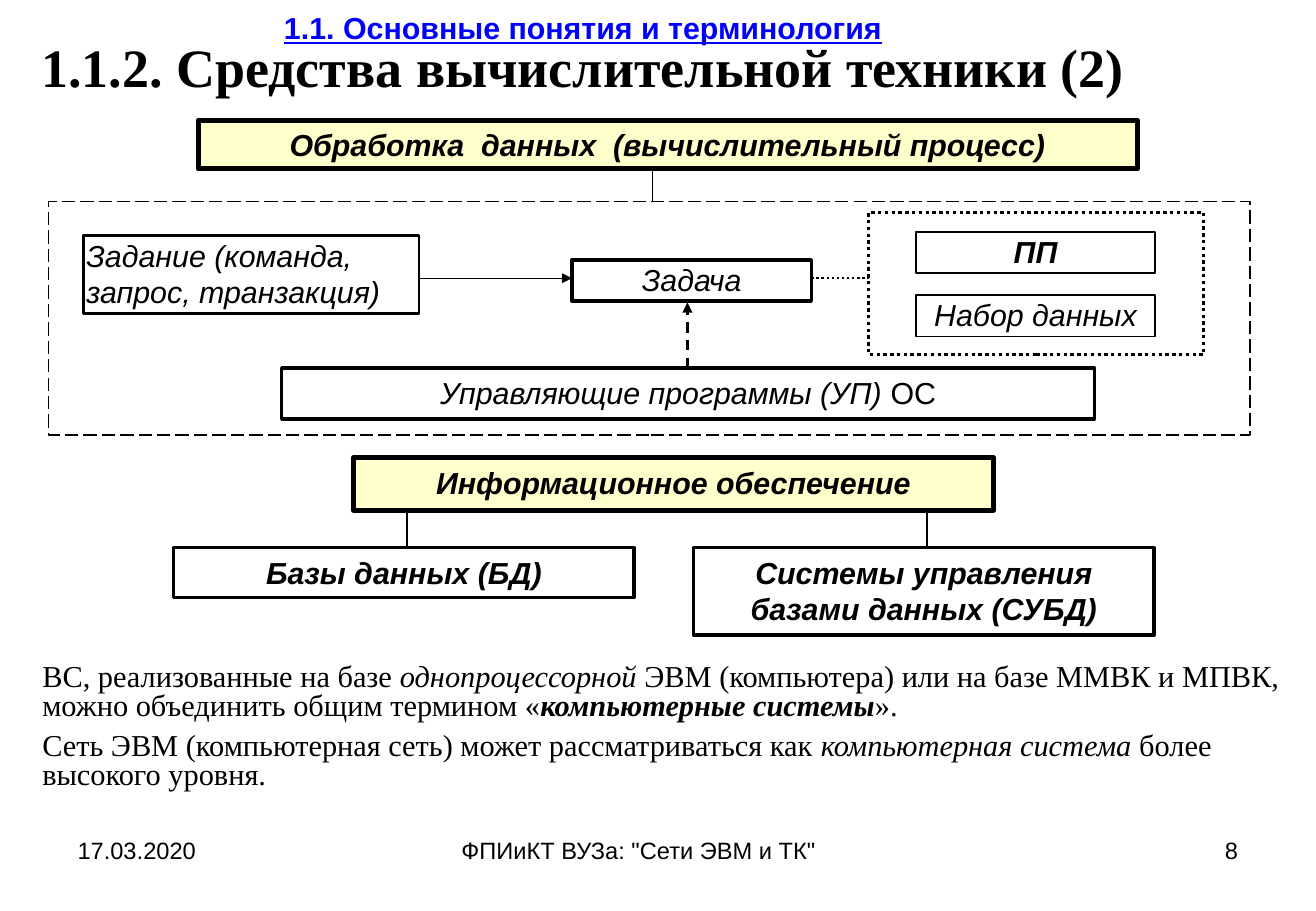
import pptx
import pptx.util
import pptx.dml.color
import pptx.enum.dml
import pptx.enum.shapes
import pptx.enum.text
import pptx.oxml.ns
from lxml import etree

Pt = pptx.util.Pt
ALIGN = pptx.enum.text.PP_ALIGN
ANCHOR = pptx.enum.text.MSO_ANCHOR
DASH = pptx.enum.dml.MSO_LINE
COLORS = {"ink": "000000", "link": "0000FF", "header": "FFFFCC"}
SANS, SERIF = "Arial", "Times New Roman"

# Content: each run is (text, style letters)
SECTION = "1.1. Основные понятия и терминология"
HEADING = "1.1.2. Средства вычислительной техники (2)"
BODY = [
    [("ВС, реализованные на базе ", ""), ("однопроцессорной", "i"),
     (" ЭВМ (компьютера) или на базе ММВК и МПВК, можно объединить общим термином «", ""),
     ("компьютерные системы", "bi"), ("».", "")],
    [("Сеть ЭВМ (компьютерная сеть) может рассматриваться как ", ""),
     ("компьютерная система ", "i"), ("более высокого уровня.", "")],
]
FOOTER = [  # text, left, width, alignment
    ("17.03.2020", 38.9, 182.2, ALIGN.LEFT),
    ('ФПИиКТ ВУЗа: "Сети ЭВМ и ТК"', 266.4, 247, ALIGN.LEFT),
    ("8", 558.7, 182.2, ALIGN.RIGHT),
]

# Diagram geometry
FLOW_Y = 164.9       # row of the job -> task -> data links
BRANCH_Y = 324.7     # top of the two information branches
BRANCH_W = 272.9
DATA_X, SMALL_W, SMALL_H = 542.9, 141.8, 24.5
TIGHT, WIDE = (1.5, 0.8), (7.2, 3.6)   # text insets: sides, top and bottom

FRAMES = [  # left, top, width, height, line width, dash
    (514.8, 126, 198.7, 84.2, 2, DASH.ROUND_DOT),
    (28.8, 119.5, 712, 138.2, 1, DASH.LONG_DASH),
]
BOXES = [  # runs, left, top, width, height, line width, insets, fill
    ([("Задание (команда, запрос, транзакция)", "i")],
     49.7, 139.7, 198.7, 46.1, 1.75, TIGHT, None),
    ([("Задача", "i")], 339.1, 154.1, SMALL_W, SMALL_H, 2, TIGHT, None),
    ([("ПП", "bi")], DATA_X, 137.5, SMALL_W, SMALL_H, 1, TIGHT, None),
    ([("Набор данных", "i")], DATA_X, 175, SMALL_W, SMALL_H, 1, TIGHT, None),
    ([("Обработка  данных  (вычислительный процесс)", "bi")],
     117.4, 71.3, 556.6, 28.8, 3, WIDE, "header"),
    ([("Управляющие программы (УП) ", "i"), ("ОС", "")],
     167, 218.2, 481.7, 30.2, 2, WIDE, None),
    ([("Информационное обеспечение", "bi")],
     209.5, 271.4, 379.4, 31, 3, WIDE, "header"),
    ([("Базы данных (БД)", "bi")],
     103, BRANCH_Y, BRANCH_W, 29.5, 2, WIDE, None),
    ([("Системы управления базами данных (СУБД)", "bi")],
     411.1, BRANCH_Y, BRANCH_W, 51.8, 2, WIDE, None),
]
LINKS = [  # x1, y1, x2, y2, line width, dash, arrow
    (248.4, FLOW_Y, 339.1, FLOW_Y, 0.75, None, True),
    (480.9, FLOW_Y, 514.8, FLOW_Y, 1.5, DASH.ROUND_DOT, False),
    (386.6, 101.5, 386.6, 119.5, 0.75, None, False),
    (407.5, 218.2, 407.5, 179.3, 1.5, DASH.DASH, True),
    (241.2, 303.8, 241.2, BRANCH_Y, 0.75, None, False),
    (549.4, 303.8, 549.4, BRANCH_Y, 0.75, None, False),
]


def rgb(name):
    return pptx.dml.color.RGBColor.from_string(COLORS[name])


def write(p, runs, font=SANS, size=18, color="ink", align=ALIGN.LEFT,
          spacing=None, before=0):
    p.alignment = align
    p.line_spacing = spacing
    p.space_before = Pt(before)
    for text, style in runs:
        r = p.add_run()
        r.text = text
        r.font.name, r.font.size = font, Pt(size)
        r.font.color.rgb = rgb(color)
        r.font.bold = "b" in style
        r.font.italic = "i" in style
        r.font.underline = "u" in style


def frame_text(sp, insets=WIDE, anchor=ANCHOR.TOP):
    tf = sp.text_frame
    tf.word_wrap = True
    tf.auto_size = pptx.enum.text.MSO_AUTO_SIZE.NONE
    tf.vertical_anchor = anchor
    tf.margin_left = tf.margin_right = Pt(insets[0])
    tf.margin_top = tf.margin_bottom = Pt(insets[1])
    return tf


def stroke(sp, width, dash=None):
    sp.line.color.rgb = rgb("ink")
    sp.line.width = Pt(width)
    if dash:
        sp.line.dash_style = dash


def add_rect(left, top, width, height, weight, dash=None, fill=None):
    sp = s.shapes.add_shape(pptx.enum.shapes.MSO_SHAPE.RECTANGLE,
                            Pt(left), Pt(top), Pt(width), Pt(height))
    sp.shadow.inherit = False
    if fill:
        sp.fill.solid()
        sp.fill.fore_color.rgb = rgb(fill)
    else:
        sp.fill.background()
    stroke(sp, weight, dash)
    return sp


def add_link(x1, y1, x2, y2, weight, dash, arrow):
    sp = s.shapes.add_connector(pptx.enum.shapes.MSO_CONNECTOR.STRAIGHT,
                                Pt(x1), Pt(y1), Pt(x2), Pt(y2))
    stroke(sp, weight, dash)
    if arrow:
        etree.SubElement(sp.line._get_or_add_ln(), pptx.oxml.ns.qn("a:tailEnd"),
                         type="triangle")
    etree.SubElement(sp._element.spPr, pptx.oxml.ns.qn("a:effectLst"))


prs = pptx.Presentation()
prs.slide_width, prs.slide_height = Pt(780), Pt(540)
s = prs.slides.add_slide(prs.slide_layouts[5])

# Title: section link above the heading
sp = s.shapes.title
sp.left, sp.top, sp.width, sp.height = Pt(0), Pt(0), Pt(691.2), Pt(67.7)
p = frame_text(sp, anchor=ANCHOR.MIDDLE).paragraphs[0]
title = dict(align=ALIGN.CENTER, spacing=0.8)
write(p, [(SECTION, "bu")], color="link", **title)
p.add_line_break()
write(p, [(HEADING, "b")], font=SERIF, size=32, **title)

# Diagram
for frame in FRAMES:
    add_rect(*frame)
for i, (runs, left, top, width, height, weight, insets, fill) in enumerate(BOXES):
    sp = add_rect(left, top, width, height, weight, fill=fill)
    write(frame_text(sp, insets).paragraphs[0], runs,
          align=ALIGN.CENTER if i else ALIGN.LEFT)
for link in LINKS:
    add_link(*link)

# Body text
tf = frame_text(s.shapes.add_textbox(Pt(18), Pt(390.2), Pt(748), Pt(88.6)))
for i, runs in enumerate(BODY):
    p = tf.add_paragraph() if i else tf.paragraphs[0]
    write(p, runs, font=SERIF, spacing=0.8, before=6 if i else 0)

# Footer
for text, left, width, align in FOOTER:
    sp = s.shapes.add_textbox(Pt(left), Pt(491.8), Pt(width), Pt(37.4))
    write(frame_text(sp).paragraphs[0], [(text, "")], size=14, align=align)

prs.save("out.pptx")
